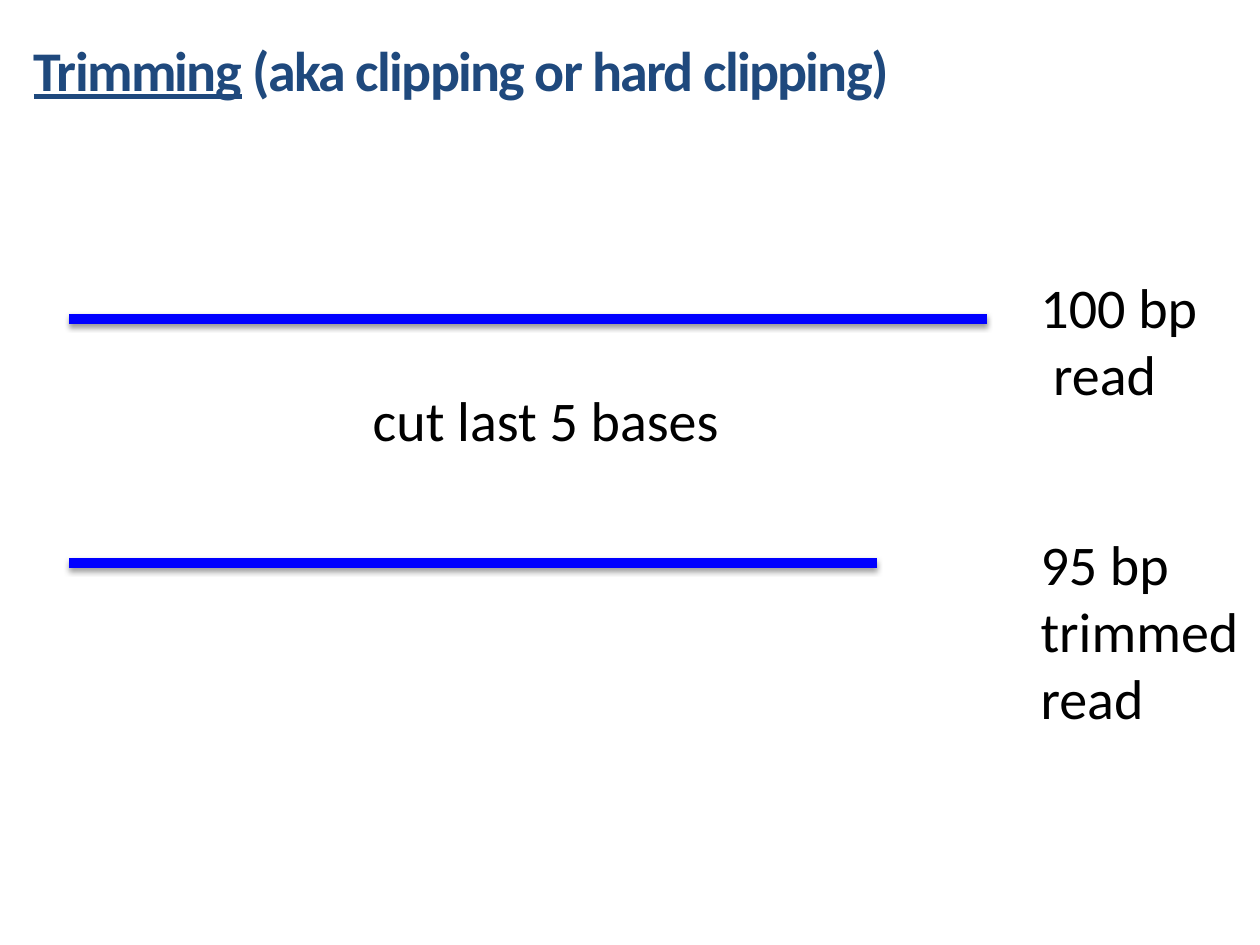
from lxml.etree import SubElement
from pptx import Presentation
from pptx.dml.color import RGBColor
from pptx.enum.shapes import MSO_CONNECTOR
from pptx.enum.text import MSO_AUTO_SIZE
from pptx.oxml.ns import qn
from pptx.util import Inches, Pt

NAVY = RGBColor(0x1F, 0x49, 0x7D)
BLUE = RGBColor(0x00, 0x00, 0xFF)
BLACK = RGBColor(0x00, 0x00, 0x00)

FONT = "Calibri"
TEXT_SIZE = Pt(32)
READ_LEFT = 0.55
LABEL_LEFT = 8.16


def add_box(page, left, top, width, height):
    return page.shapes.add_textbox(
        Inches(left), Inches(top), Inches(width), Inches(height))


def style_span(span, color):
    span.font.name = FONT
    span.font.size = TEXT_SIZE
    span.font.color.rgb = color


def add_title(page, term, explanation):
    box = add_box(page, 0.17, 0.23, 7.24, 0.59)
    box.text_frame.word_wrap = True
    para = box.text_frame.paragraphs[0]
    for text, underlined in ((term, True), (explanation, False)):
        span = para.add_run()
        span.text = text
        style_span(span, NAVY)
        span.font.bold = True
        span.font.underline = underlined
        # Letter spacing of -1 pt
        span.font._element.set("spc", "-100")


def add_label(page, text, left, top, width, height):
    frame = add_box(page, left, top, width, height).text_frame
    frame.word_wrap = False
    frame.auto_size = MSO_AUTO_SIZE.SHAPE_TO_FIT_TEXT
    frame.text = text
    for para in frame.paragraphs:
        for span in para.runs:
            style_span(span, BLACK)


def add_shadow(shape):
    effects = SubElement(shape._element.spPr, qn("a:effectLst"))
    shadow = SubElement(effects, qn("a:outerShdw"), blurRad=str(Pt(3.1)),
                        dist=str(Pt(1.6)), dir="5400000", rotWithShape="0")
    color = SubElement(shadow, qn("a:srgbClr"), val=str(BLACK))
    SubElement(color, qn("a:alpha"), val="38000")


def add_read(page, right, y):
    read = page.shapes.add_connector(
        MSO_CONNECTOR.STRAIGHT,
        Inches(READ_LEFT), Inches(y), Inches(right), Inches(y))
    read.line.color.rgb = BLUE
    read.line.width = Pt(6)
    add_shadow(read)


def main():
    deck = Presentation()
    deck.slide_width = Inches(10)
    deck.slide_height = Inches(7.5)
    page = deck.slides.add_slide(deck.slide_layouts[6])

    add_title(page, "Trimming", " (aka clipping or hard clipping)")

    # Full read
    add_read(page, 7.83, 2.53)
    add_label(page, "100 bp\n read", LABEL_LEFT, 2.11, 1.46, 1.18)

    # Trimming step
    add_label(page, "cut last 5 bases", 2.86, 3.01, 3.08, 0.64)

    # Trimmed read
    add_read(page, 6.96, 4.47)
    add_label(page, "95 bp\ntrimmed\nread", LABEL_LEFT, 4.15, 1.79, 1.72)

    deck.save("out.pptx")


if __name__ == "__main__":
    main()
